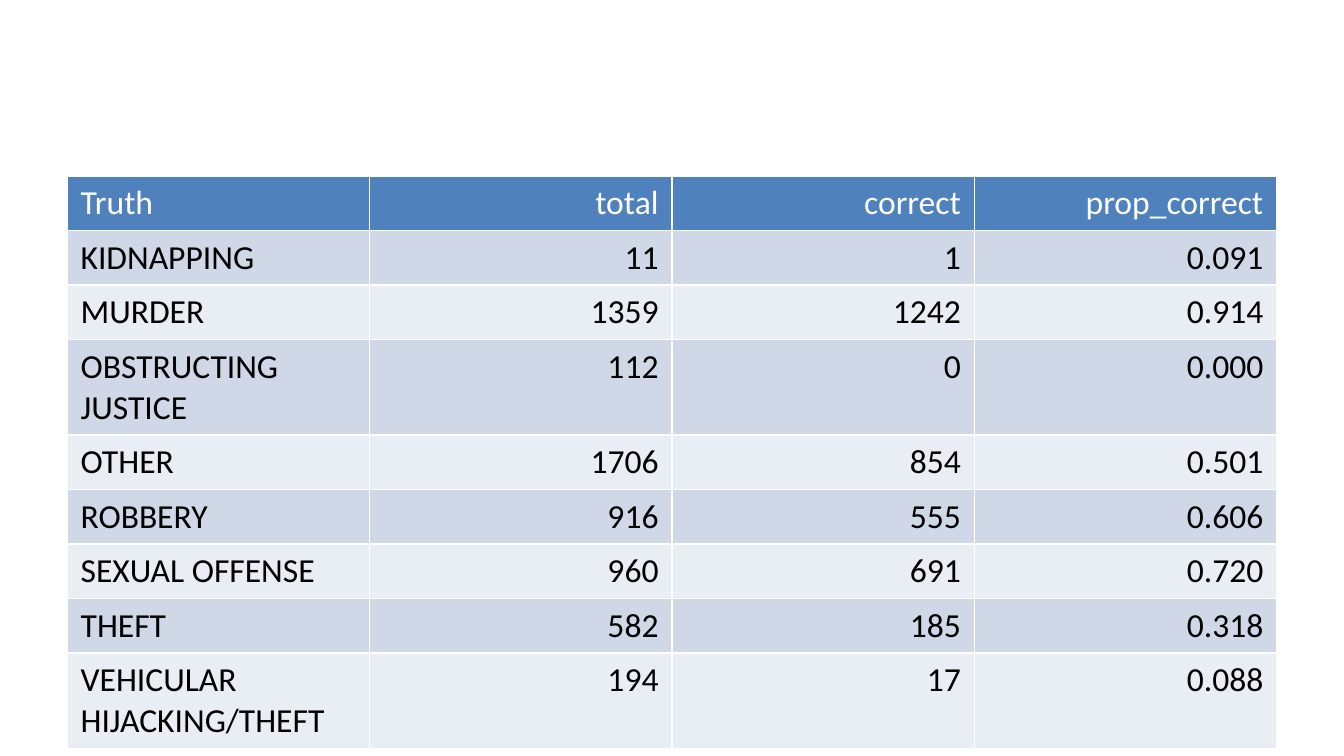
"""Build a slide with a table of correct predictions for each offense."""
from lxml import etree
from pptx import Presentation
from pptx import util as u
from pptx.dml import color
from pptx.enum import text
from pptx.oxml import ns

COLOURS = {
    "header": "4F81BD",
    "odd": "D0D8E8",
    "even": "E9EDF4",
    "light": "FFFFFF",
    "dark": "000000",
}
ROWS = [
    ("Truth", "total", "correct", "prop_correct"),
    ("KIDNAPPING", "11", "1", "0.091"),
    ("MURDER", "1359", "1242", "0.914"),
    ("OBSTRUCTING JUSTICE", "112", "0", "0.000"),
    ("OTHER", "1706", "854", "0.501"),
    ("ROBBERY", "916", "555", "0.606"),
    ("SEXUAL OFFENSE", "960", "691", "0.720"),
    ("THEFT", "582", "185", "0.318"),
    ("VEHICULAR HIJACKING/THEFT", "194", "17", "0.088"),
]
ROW_HEIGHT = 1.03


def rgb(name):
    return color.RGBColor.from_string(COLOURS[name])


def add_borders(cell):
    properties = cell._tc.get_or_add_tcPr()
    for side in ("lnL", "lnR", "lnT", "lnB"):
        line = etree.SubElement(properties, ns.qn(f"a:{side}"), w=str(u.Pt(1)))
        fill = etree.SubElement(line, ns.qn("a:solidFill"))
        etree.SubElement(fill, ns.qn("a:srgbClr"), val=COLOURS["light"])


def fill_cell(cell, value, background, ink, align):
    add_borders(cell)
    cell.fill.solid()
    cell.fill.fore_color.rgb = rgb(background)
    cell.text_frame.text = value
    para = cell.text_frame.paragraphs[0]
    para.alignment = align
    font = para.runs[0].font
    font.name, font.size, font.bold = "Calibri", u.Pt(18), False
    font.color.rgb = rgb(ink)


def add_results_table(page):
    frame = page.shapes.add_table(
        len(ROWS), len(ROWS[0]), u.Cm(1.27), u.Cm(3.33),
        u.Cm(22.86), u.Cm(ROW_HEIGHT * len(ROWS)))
    for row, values in enumerate(ROWS):
        band = "odd" if row % 2 else "even"
        background, ink = (band, "dark") if row else ("header", "light")
        for column, value in enumerate(values):
            align = text.PP_ALIGN.RIGHT if column else text.PP_ALIGN.LEFT
            fill_cell(frame.table.cell(row, column), value, background, ink, align)


def main():
    deck = Presentation()
    deck.slide_width, deck.slide_height = u.Cm(25.4), u.Cm(14.29)
    page = deck.slides.add_slide(deck.slide_layouts[6])
    add_results_table(page)
    deck.save("out.pptx")


if __name__ == "__main__":
    main()
